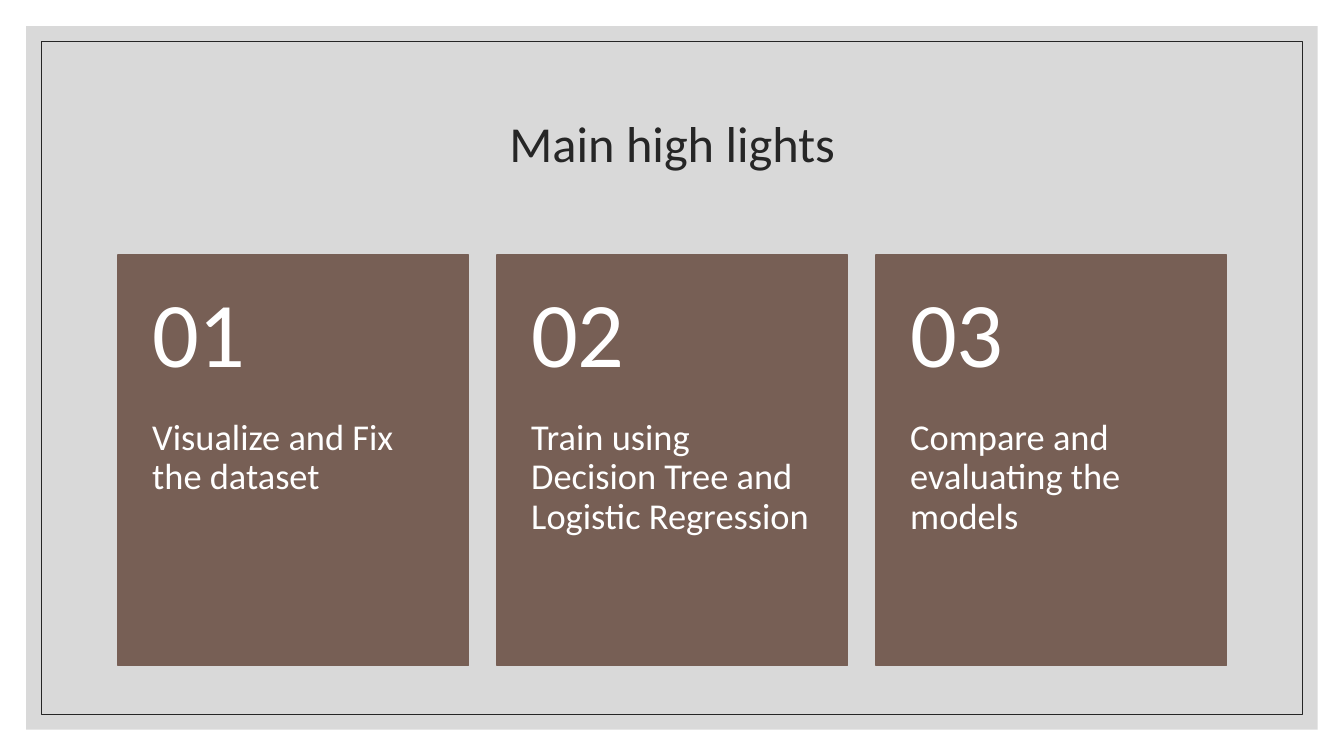
import pptx
import pptx.dml.color
import pptx.enum.shapes
import pptx.enum.text
import pptx.util

Pt = pptx.util.Pt
ANCHOR = pptx.enum.text.MSO_ANCHOR
ALIGN = pptx.enum.text.PP_ALIGN

PANEL_GREY = pptx.dml.color.RGBColor(0xD9, 0xD9, 0xD9)
INK = pptx.dml.color.RGBColor(0x26, 0x26, 0x26)
BROWN = pptx.dml.color.RGBColor(0x77, 0x5F, 0x55)
WHITE = pptx.dml.color.RGBColor(0xFF, 0xFF, 0xFF)

FONT = "Calibri"
SLIDE_WIDTH, SLIDE_HEIGHT = 960, 540
CARD_LEFT, CARD_TOP = 84.24, 182.16
CARD_WIDTH, CARD_PITCH = 250.56, 270.72
NUMBER_HEIGHT, BODY_HEIGHT = 117.36, 175.68
SIDE_INSET = 24.5
HIGHLIGHTS = [
    "Visualize and Fix the dataset",
    "Train using Decision Tree and Logistic Regression",
    "Compare and evaluating the models",
]


def add_rectangle(slide, left, top, width, height, fill=None, line=None, line_width=1):
    shape = slide.shapes.add_shape(
        pptx.enum.shapes.MSO_SHAPE.RECTANGLE, Pt(left), Pt(top), Pt(width), Pt(height)
    )
    shape.shadow.inherit = False
    if fill is None:
        shape.fill.background()
    else:
        shape.fill.solid()
        shape.fill.fore_color.rgb = fill
    if line is None:
        shape.line.fill.background()
    else:
        shape.line.color.rgb = line
        shape.line.width = Pt(line_width)
    return shape


def add_frame(slide, margin, **style):
    return add_rectangle(
        slide, margin, margin, SLIDE_WIDTH - 2 * margin, SLIDE_HEIGHT - 2 * margin, **style
    )


def write_text(shape, text, size, color, anchor, alignment):
    text_frame = shape.text_frame
    text_frame.word_wrap = True
    text_frame.auto_size = pptx.enum.text.MSO_AUTO_SIZE.NONE
    text_frame.vertical_anchor = anchor
    text_frame.text = text
    paragraph = text_frame.paragraphs[0]
    paragraph.alignment = alignment
    paragraph.line_spacing = 0.9
    font = paragraph.runs[0].font
    font.name = FONT
    font.size = Pt(size)
    font.color.rgb = color


def format_title(slide, text):
    title = slide.shapes.title
    title.left, title.top = Pt(84.24), Pt(50.4)
    title.width, title.height = Pt(792), Pt(108)
    write_text(title, text, 36, INK, ANCHOR.MIDDLE, ALIGN.CENTER)
    return title


def add_card_text(slide, left, top, height, text, size, anchor, top_inset, bottom_inset):
    box = slide.shapes.add_textbox(Pt(left), Pt(top), Pt(CARD_WIDTH), Pt(height))
    write_text(box, text, size, WHITE, anchor, ALIGN.LEFT)
    text_frame = box.text_frame
    text_frame.margin_left = text_frame.margin_right = Pt(SIDE_INSET)
    text_frame.margin_top = Pt(top_inset)
    text_frame.margin_bottom = Pt(bottom_inset)


def add_card(slide, left, number, text):
    add_rectangle(
        slide, left, CARD_TOP, CARD_WIDTH, NUMBER_HEIGHT + BODY_HEIGHT, fill=BROWN, line=BROWN
    )
    add_card_text(
        slide, left, CARD_TOP + NUMBER_HEIGHT, BODY_HEIGHT, text, 26, ANCHOR.TOP, 0, 26
    )
    add_card_text(
        slide, left, CARD_TOP, NUMBER_HEIGHT, f"{number:02d}", 66, ANCHOR.MIDDLE, 13, 13
    )


def main():
    presentation = pptx.Presentation()
    presentation.slide_width = Pt(SLIDE_WIDTH)
    presentation.slide_height = Pt(SLIDE_HEIGHT)
    slide = presentation.slides.add_slide(presentation.slide_layouts[5])
    title = format_title(slide, "Main high lights")
    panel = add_frame(slide, 18.72, fill=PANEL_GREY)
    border = add_frame(slide, 29.52, line=INK, line_width=0.5)
    for backdrop in (panel, border):
        title.element.addprevious(backdrop.element)
    for index, text in enumerate(HIGHLIGHTS):
        add_card(slide, CARD_LEFT + index * CARD_PITCH, index + 1, text)
    presentation.save("out.pptx")


if __name__ == "__main__":
    main()
